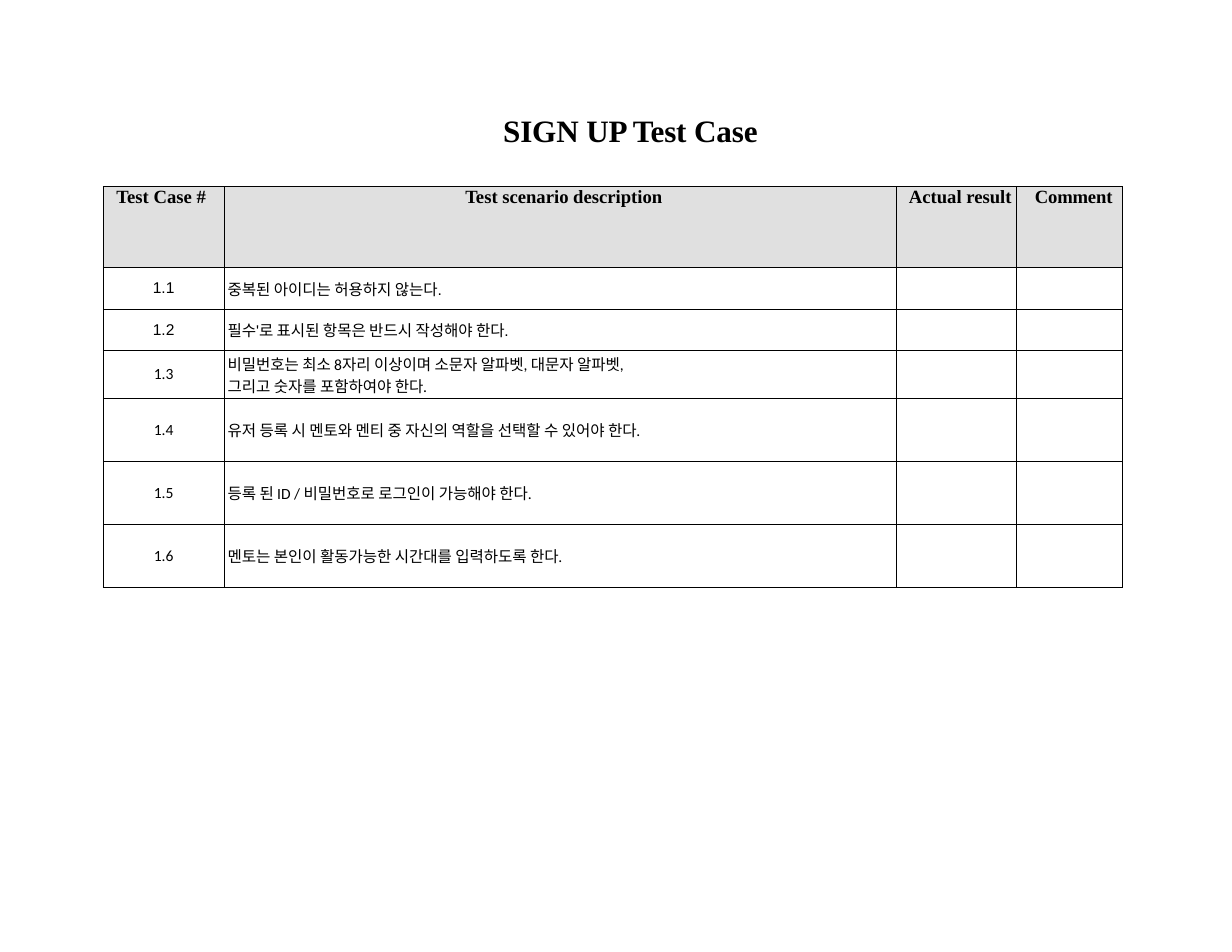
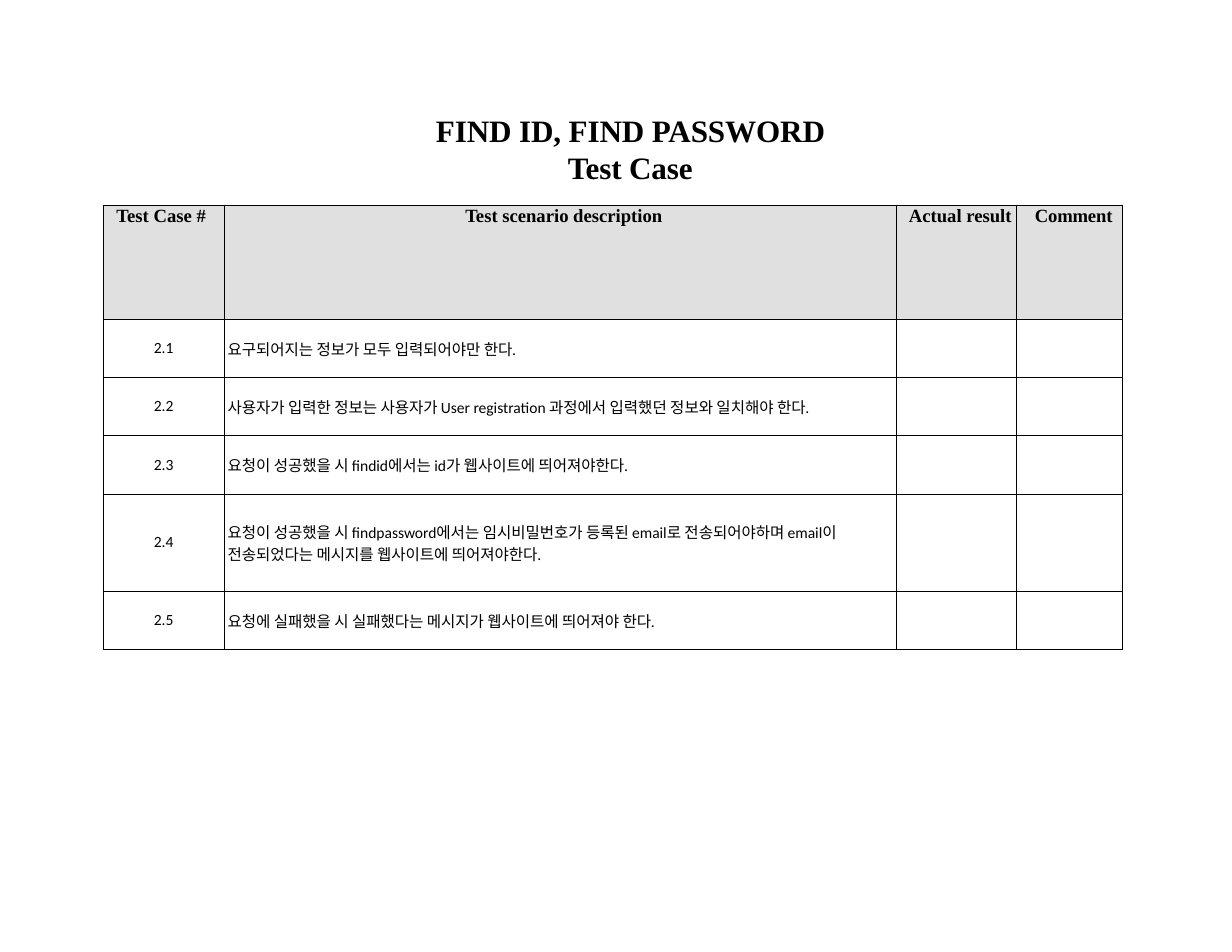
import pptx
import pptx.util
import pptx.oxml
import pptx.dml.color
import pptx.enum.text

Cm = pptx.util.Cm
Pt = pptx.util.Pt
RGB = pptx.dml.color.RGBColor
ALIGN = pptx.enum.text.PP_ALIGN
ANCHOR = pptx.enum.text.MSO_ANCHOR

BLACK = RGB(0x00, 0x00, 0x00)
WHITE = RGB(0xFF, 0xFF, 0xFF)
GRAY = RGB(0xE0, 0xE0, 0xE0)
SERIF = "Times New Roman"
TIGHT = "-10"
WIDTHS = (2.74, 15.24, 2.74, 2.4)
HEADS = ("Test Case # ", "Test scenario description", "Actual result", "Comment")
NS = "http://schemas.openxmlformats.org/drawingml/2006/main"
EDGE = (
    f'<a:{{}} xmlns:a="{NS}" w="6350"><a:solidFill>'
    f'<a:srgbClr val="{BLACK}"/></a:solidFill></a:{{}}>'
)


class Deck:
    def __init__(self):
        self.file = pptx.Presentation()
        self.file.slide_width = Cm(27.94)
        self.file.slide_height = Cm(21.59)
        self.slide = None

    def page(self):
        self.slide = self.file.slides.add_slide(self.file.slide_layouts[5])

    def style(self, para, size, font, bold=False, tight=False):
        for run in para.runs:
            run.font.size = Pt(size)
            run.font.name = font
            run.font.bold = bold
            run.font.color.rgb = BLACK
            if tight:
                run._r.get_or_add_rPr().set("spc", TIGHT)

    def title(self, text, height):
        box = self.slide.shapes.title
        box.left, box.top = Cm(9.53), Cm(2.49)
        box.width, box.height = Cm(9.53), Cm(height)
        frame = box.text_frame
        frame.text = text
        frame.word_wrap = True
        frame.auto_size = pptx.enum.text.MSO_AUTO_SIZE.SHAPE_TO_FIT_TEXT
        frame.vertical_anchor = ANCHOR.TOP
        frame.margin_left = frame.margin_right = frame.margin_bottom = 0
        frame.margin_top = Cm(0.03)
        para = frame.paragraphs[0]
        para.alignment = ALIGN.CENTER
        self.style(para, 20, SERIF, True, True)

    def cell(self, cell, text, fill, side):
        props = cell._tc.get_or_add_tcPr()
        for edge in ("lnL", "lnR", "lnT", "lnB"):
            props.append(pptx.oxml.parse_xml(EDGE.format(edge, edge)))
        cell.fill.solid()
        cell.fill.fore_color.rgb = fill
        cell.margin_left = cell.margin_right = Cm(side)
        cell.margin_top = cell.margin_bottom = 0
        para = cell.text_frame.paragraphs[0]
        para.text = text
        return para

    def head(self, cell, col):
        para = self.cell(cell, HEADS[col], GRAY, 0)
        para.alignment = ALIGN.CENTER
        para.line_spacing = Pt(13.8)
        if col:
            para._p.get_or_add_pPr().set("marL", str(Cm(0.18)))
        self.style(para, 12, SERIF, True, HEADS[col] == "Comment")

    def body(self, cell, col, text, font):
        para = self.cell(cell, text, WHITE, 0.08)
        para.alignment = ALIGN.LEFT if col else ALIGN.CENTER
        cell.vertical_anchor = ANCHOR.MIDDLE
        self.style(para, 10, font)

    def table(self, top, high, cases):
        heights = [high] + [case[0] for case in cases]
        grid = self.slide.shapes.add_table(
            len(heights), len(WIDTHS), Cm(2.34), Cm(top),
            Cm(sum(WIDTHS)), Cm(sum(heights))).table
        grid.first_row = grid.horz_banding = False
        for col, width in enumerate(WIDTHS):
            grid.columns[col].width = Cm(width)
            self.head(grid.cell(0, col), col)
        for row, height in enumerate(heights):
            grid.rows[row].height = Cm(height)
        for row, (_, font, code, text) in enumerate(cases, 1):
            for col, words in enumerate((code, text, "", "")):
                self.body(grid.cell(row, col), col, words, font)


SIGN = (
    (0.94, "Arial", "1.1", "중복된 아이디는 허용하지 않는다."),
    (0.94, "Arial", "1.2", "필수'로 표시된 항목은 반드시 작성해야 한다."),
    (1.09, "Calibri", "1.3",
     "비밀번호는 최소 8자리 이상이며 소문자 알파벳, 대문자 알파벳,\n그리고 숫자를 포함하여야 한다."),
    (1.43, "Calibri", "1.4", "유저 등록 시 멘토와 멘티 중 자신의 역할을 선택할 수 있어야 한다."),
    (1.43, "Calibri", "1.5", "등록 된 ID / 비밀번호로 로그인이 가능해야 한다."),
    (1.43, "Calibri", "1.6", "멘토는 본인이 활동가능한 시간대를 입력하도록 한다."),
)
FIND = (
    (1.32, "Calibri", "2.1", "요구되어지는 정보가 모두 입력되어야만 한다."),
    (1.32, "Calibri", "2.2",
     "사용자가 입력한 정보는 사용자가 User registration 과정에서 입력했던 정보와 일치해야 한다."),
    (1.32, "Calibri", "2.3", "요청이 성공했을 시 findid에서는 id가 웹사이트에 띄어져야한다."),
    (2.21, "Calibri", "2.4",
     "요청이 성공했을 시 findpassword에서는 임시비밀번호가 등록된 email로 전송되어야하며 "
     "email이 전송되었다는 메시지를 웹사이트에 띄어져야한다."),
    (1.32, "Calibri", "2.5", "요청에 실패했을 시 실패했다는 메시지가 웹사이트에 띄어져야 한다."),
)


def main():
    deck = Deck()
    deck.page()
    deck.title("SIGN UP Test Case", 0.91)
    deck.table(4.23, 1.84, SIGN)
    deck.page()
    deck.title("FIND ID, FIND PASSWORD Test Case", 1.75)
    deck.table(4.65, 2.59, FIND)
    deck.file.save("out.pptx")


if __name__ == "__main__":
    main()
